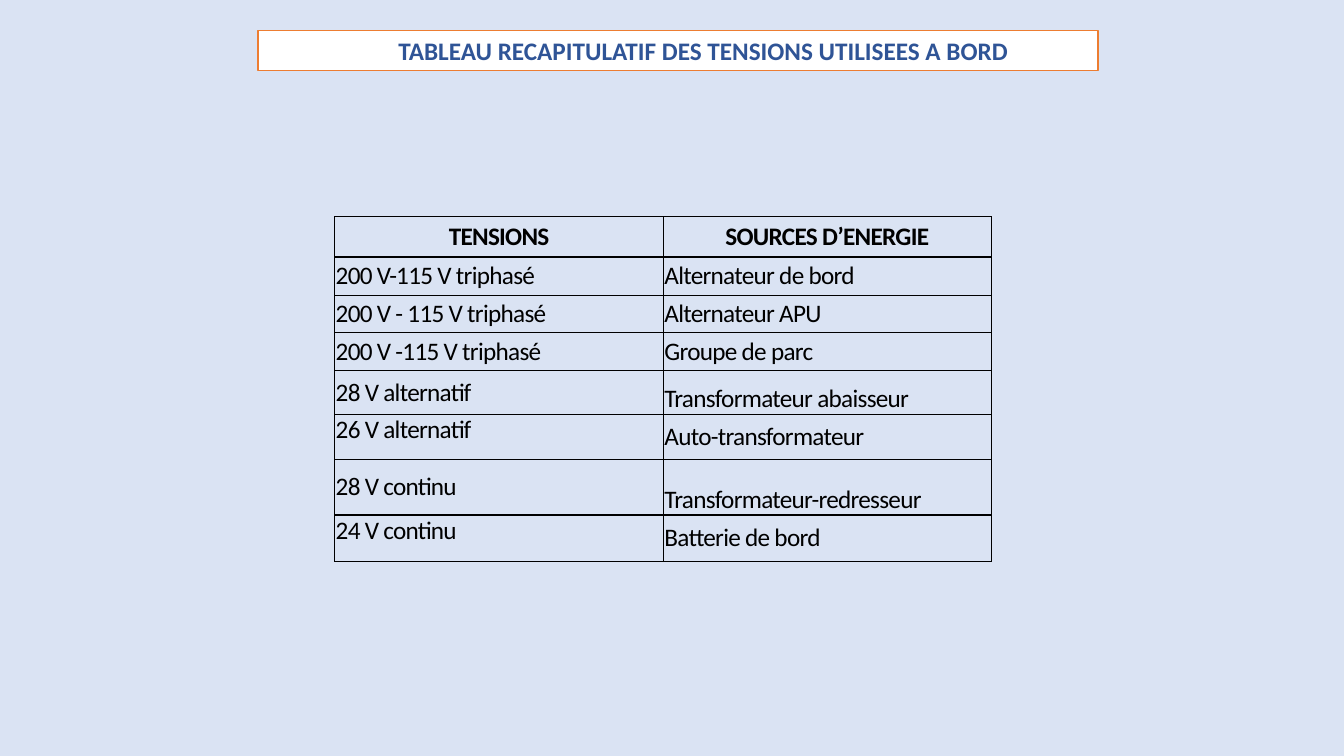
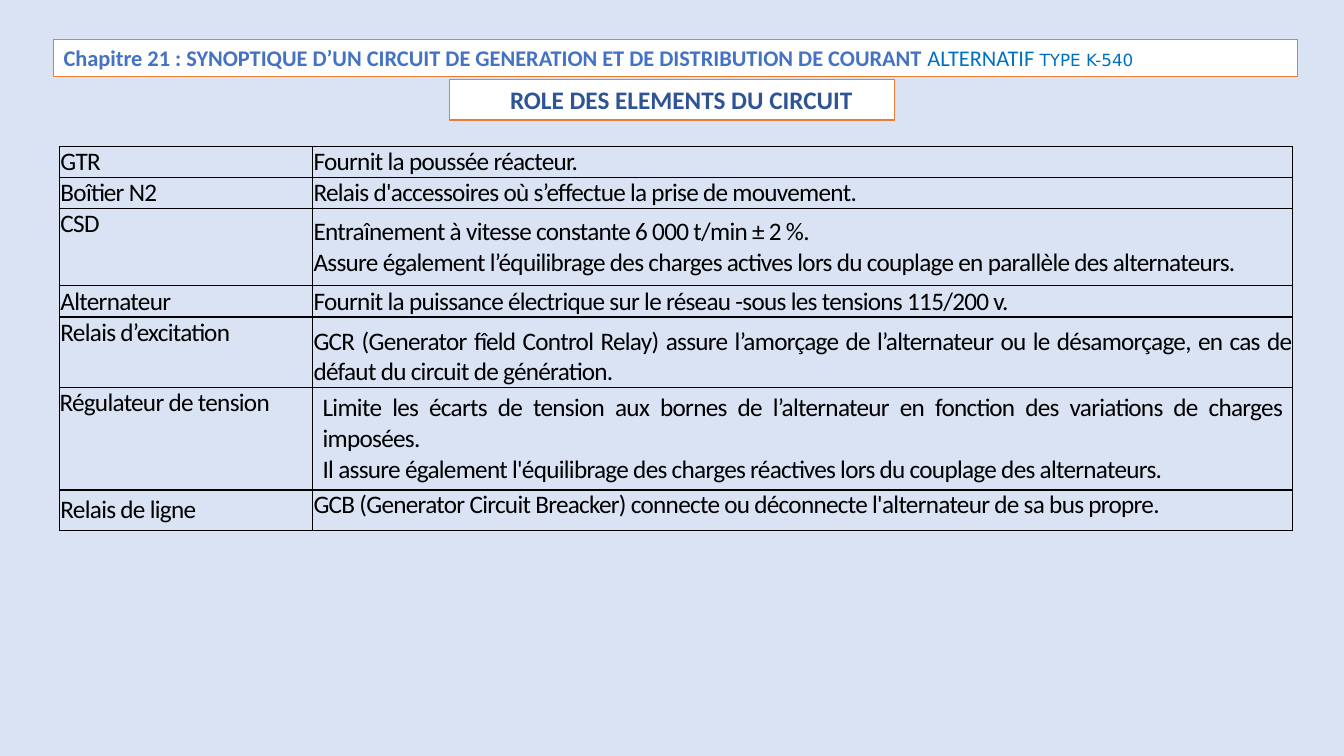
from dataclasses import dataclass

from lxml import etree
from pptx import Presentation
from pptx.dml.color import RGBColor
from pptx.enum.shapes import MSO_SHAPE as Shape
from pptx.enum.text import MSO_ANCHOR as Anchor, MSO_AUTO_SIZE as AutoSize, PP_ALIGN as Align
from pptx.oxml.ns import qn
from pptx.util import Inches, Pt


@dataclass(frozen=True)
class Theme:
    background: str = "DAE3F3"
    band: str = "FFFFFF"
    band_line: str = "ED7D31"
    heading: str = "2F5496"
    chapter: str = "4472C4"
    chapter_end: str = "0070C0"
    ink: str = "000000"
    font: str = "Calibri"
    type_font: str = "DejaVu Sans"
    body_size: int = 18
    chapter_size: int = 16
    type_size: int = 12
    tracking: int = -50  # hundredths of a point
    line_width: int = 1


THEME = Theme()
TOP, MIDDLE, BOTTOM = Anchor.TOP, Anchor.MIDDLE, Anchor.BOTTOM

# Content: band runs are (text, format)
HEADING = dict(size=THEME.body_size, name=THEME.font, color=THEME.heading, bold=True)
CHAPTER = dict(size=THEME.chapter_size, name=THEME.font, color=THEME.chapter, bold=True)
CHAPTER_END = dict(CHAPTER, color=THEME.chapter_end, bold=False)
AIRCRAFT = dict(CHAPTER_END, size=THEME.type_size, name=THEME.type_font)

SUMMARY = [("TABLEAU RECAPITULATIF DES TENSIONS UTILISEES A BORD", HEADING)]
ROLES = [("ROLE DES ELEMENTS DU CIRCUIT", HEADING)]
CHAPTER_TITLE = [
    ("Chapitre 21 : SYNOPTIQUE D’UN CIRCUIT DE GENERATION ET DE DISTRIBUTION DE COURANT ", CHAPTER),
    ("ALTERNATIF ", CHAPTER_END),
    ("TYPE K-540", AIRCRAFT),
]

# Table rows: height, (text, anchor) left, (text, anchor) right
VOLTAGES = [
    (0.4, ("TENSIONS", MIDDLE), ("SOURCES D’ENERGIE", MIDDLE)),
    (0.38, ("200 V-115 V triphasé", MIDDLE), ("Alternateur de bord", MIDDLE)),
    (0.37, ("200 V - 115 V triphasé", MIDDLE), ("Alternateur APU", MIDDLE)),
    (0.38, ("200 V -115 V triphasé", MIDDLE), ("Groupe de parc", MIDDLE)),
    (0.43, ("28 V alternatif", MIDDLE), ("Transformateur abaisseur", BOTTOM)),
    (0.45, ("26 V alternatif", TOP), ("Auto-transformateur", MIDDLE)),
    (0.55, ("28 V continu", MIDDLE), ("Transformateur-redresseur", BOTTOM)),
    (0.46, ("24 V continu", TOP), ("Batterie de bord", MIDDLE)),
]
ELEMENTS = [
    (0.31, ("GTR", TOP), ("Fournit la poussée réacteur.", TOP)),
    (0.3, ("Boîtier N2", MIDDLE),
     ("Relais d'accessoires où s’effectue la prise de mouvement.", MIDDLE)),
    (0.77, ("CSD", TOP),
     ("Entraînement à vitesse constante 6 000 t/min ± 2 %.\n"
      "Assure également l’équilibrage des charges actives lors du couplage en parallèle "
      "des alternateurs.", MIDDLE)),
    (0.31, ("Alternateur", MIDDLE),
     ("Fournit la puissance électrique sur le réseau -sous les tensions 115/200 v.", MIDDLE)),
    (0.7, ("Relais d’excitation", TOP),
     ("GCR (Generator fîeld Control Relay) assure l’amorçage de l’alternateur ou le désamorçage, "
      "en cas de défaut du circuit de génération.", BOTTOM)),
    (1.0, ("Régulateur de tension", TOP),
     ("Limite les écarts de tension aux bornes de l’alternateur en fonction des variations "
      "de charges imposées.\n"
      "Il assure également l'équilibrage des charges réactives lors du couplage des "
      "alternateurs.", TOP)),
    (0.4, ("Relais de ligne", MIDDLE),
     ("GCB (Generator Circuit Breacker) connecte ou déconnecte l'alternateur de sa bus propre.",
      TOP)),
]
REGULATOR_ROW = 5


def style_font(font, size, name, color, bold=False):
    for attribute, value in dict(size=Pt(size), name=name, bold=bold).items():
        setattr(font, attribute, value)
    font.color.rgb = RGBColor.from_string(color)


def style_band(band, place, runs, align=Align.LEFT, indent=0):
    """White outlined band holding one line of heading text."""
    for side, length in zip(("left", "top", "width", "height"), place):
        setattr(band, side, Inches(length))
    band.fill.solid()
    band.fill.fore_color.rgb = RGBColor.from_string(THEME.band)
    band.line.color.rgb = RGBColor.from_string(THEME.band_line)
    band.line.width = Pt(THEME.line_width)
    frame = band.text_frame
    for attribute, value in dict(word_wrap=True, auto_size=AutoSize.NONE,
                                 vertical_anchor=TOP).items():
        setattr(frame, attribute, value)
    paragraph = frame.paragraphs[0]
    paragraph.alignment = align
    paragraph.line_spacing = 1.0
    properties = paragraph._p.get_or_add_pPr()
    properties.set("marL", str(Inches(indent)))
    properties.set("indent", "0")
    for text, look in runs:
        run = paragraph.add_run()
        run.text = text
        style_font(run.font, **look)


def outline_cell(cell):
    properties = cell._tc.get_or_add_tcPr()
    for side in ("lnL", "lnR", "lnT", "lnB"):
        line = etree.SubElement(properties, qn(f"a:{side}"), w=str(Pt(THEME.line_width)))
        fill = etree.SubElement(line, qn("a:solidFill"))
        etree.SubElement(fill, qn("a:srgbClr"), val=THEME.ink)


def fill_cell(cell, text, anchor, align, bold, margins):
    outline_cell(cell)
    cell.fill.background()
    side, edge = (Inches(margin) for margin in margins)
    for attribute, value in dict(margin_left=side, margin_right=side, margin_top=edge,
                                 margin_bottom=edge, vertical_anchor=anchor).items():
        setattr(cell, attribute, value)
    cell.text_frame.text = text
    for paragraph in cell.text_frame.paragraphs:
        paragraph.alignment = align
        for run in paragraph.runs:
            style_font(run.font, THEME.body_size, THEME.font, THEME.ink, bold)
            run.font._element.set("spc", str(THEME.tracking))


def add_grid(slide, left, top, widths, rows, aligns, header=False, margins=None):
    """Two-column outlined table; margins maps (row, column) to (side, edge)."""
    height = sum(row[0] for row in rows)
    grid = slide.shapes.add_table(len(rows), len(widths), Inches(left), Inches(top),
                                  Inches(sum(widths)), Inches(height)).table
    grid.first_row = header
    grid.horz_banding = False
    for column, width in zip(grid.columns, widths):
        column.width = Inches(width)
    for r, (row_height, *cells) in enumerate(rows):
        grid.rows[r].height = Inches(row_height)
        is_header = header and r == 0
        for c, (text, anchor) in enumerate(cells):
            fill_cell(grid.cell(r, c), text, anchor,
                      Align.CENTER if is_header else aligns[c], is_header,
                      (margins or {}).get((r, c), (0.01, 0)))


def main():
    prs = Presentation()
    prs.slide_width, prs.slide_height = Inches(13.33), Inches(7.5)
    backdrop = prs.slide_master.background.fill
    backdrop.solid()
    backdrop.fore_color.rgb = RGBColor.from_string(THEME.background)
    title_only = prs.slide_layouts.get_by_name("Title Only")

    # Voltages used on board
    voltages = prs.slides.add_slide(title_only)
    style_band(voltages.shapes.title, (2.56, 0.3, 8.33, 0.4), SUMMARY, Align.CENTER, 0.5)
    add_grid(voltages, 3.32, 2.15, (3.26, 3.25), VOLTAGES, (Align.LEFT, Align.LEFT), header=True)

    # Role of each circuit element
    elements = prs.slides.add_slide(title_only)
    style_band(elements.shapes.title, (0.53, 0.39, 12.34, 0.37), CHAPTER_TITLE)
    add_grid(elements, 0.59, 1.45, (2.51, 9.72), ELEMENTS, (Align.LEFT, Align.JUSTIFY),
             margins={(REGULATOR_ROW, 0): (0, 0), (REGULATOR_ROW, 1): (0.1, 0.05)})
    place = (4.46, 0.79, 4.41, 0.4)
    roles = elements.shapes.add_shape(Shape.RECTANGLE, *map(Inches, place))
    roles.shadow.inherit = False
    style_band(roles, place, ROLES, indent=0.5)

    prs.save("out.pptx")


if __name__ == "__main__":
    main()
